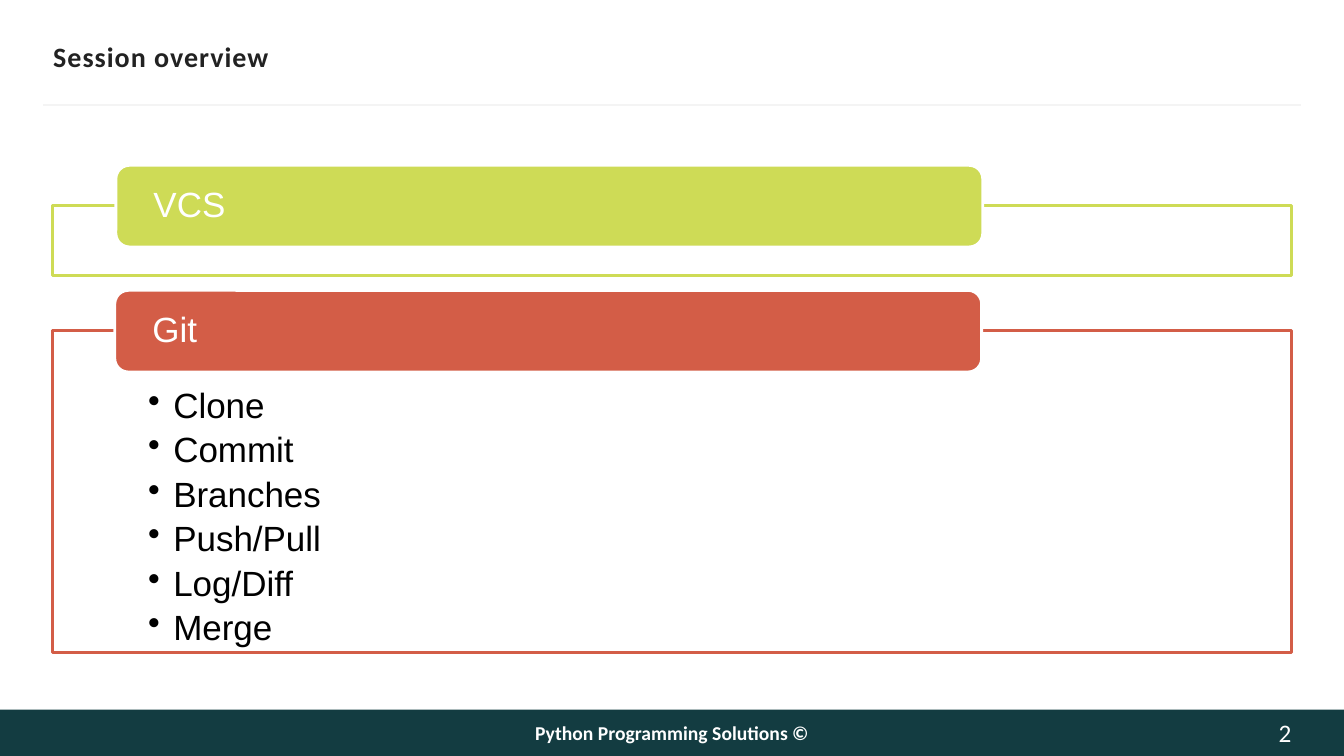
import pptx
import pptx.util
import pptx.dml.color
import pptx.enum.shapes
import pptx.enum.text
import pptx.oxml.ns
import lxml.etree

Pt = pptx.util.Pt
RGBColor = pptx.dml.color.RGBColor
SHAPE = pptx.enum.shapes.MSO_SHAPE
ANCHOR = pptx.enum.text.MSO_ANCHOR
ALIGN = pptx.enum.text.PP_ALIGN
qn = pptx.oxml.ns.qn

WHITE = RGBColor(0xFF, 0xFF, 0xFF)
BLACK = RGBColor(0, 0, 0)
PALE = RGBColor(0xFE, 0xFE, 0xFE)
INK = RGBColor(0x22, 0x22, 0x22)
RULE = RGBColor(0xF4, 0xF4, 0xF4)
TEAL = RGBColor(0x13, 0x3C, 0x41)
LIME = RGBColor(0xCE, 0xDB, 0x56)
RUST = RGBColor(0xD3, 0x5D, 0x47)

WIDTH, HEIGHT = 960, 540
FOOT = 506.9
TOPICS = [
    (LIME, 82.8, 118.1, 49.7, "VCS", []),
    (RUST, 82, 207.4, 229.7, "Git",
     ["Clone", "Commit", "Branches", "Push/Pull", "Log/Diff", "Merge"]),
]


def add_box(slide, kind, left, top, width, height, fill, line=None):
    box = slide.shapes.add_shape(kind, Pt(left), Pt(top), Pt(width), Pt(height))
    box.shadow.inherit = False
    box.fill.solid()
    box.fill.fore_color.rgb = fill
    if line is None:
        box.line.fill.background()
    else:
        box.line.color.rgb = line
        box.line.width = Pt(2)
    return box


def add_rule(slide, left, right, top):
    kind = pptx.enum.shapes.MSO_CONNECTOR.STRAIGHT
    rule = slide.shapes.add_connector(kind, Pt(left), Pt(top), Pt(right), Pt(top))
    rule.line.color.rgb = RULE
    rule.line.width = Pt(1.5)
    lxml.etree.SubElement(rule._element.spPr, qn("a:effectLst"))


def set_frame(shape, side, top=0, base=0, anchor=ANCHOR.MIDDLE):
    frame = shape.text_frame
    frame.word_wrap = True
    frame.vertical_anchor = anchor
    frame.margin_left = frame.margin_right = Pt(side)
    frame.margin_top, frame.margin_bottom = Pt(top), Pt(base)
    return frame


def add_run(para, text, face, size, color, bold=False):
    run = para.add_run()
    run.text = text
    run.font.name = face
    run.font.size = Pt(size)
    run.font.color.rgb = color
    run.font.bold = bold
    return run


def add_text(slide, left, top, width, height, text, size, color, align, bold=False):
    box = slide.shapes.add_textbox(Pt(left), Pt(top), Pt(width), Pt(height))
    para = set_frame(box, 0).paragraphs[0]
    para.alignment = align
    return add_run(para, text, "Calibri", size, color, bold)


def add_bullet(para):
    props = para._p.get_or_add_pPr()
    props.set("marL", str(Pt(18)))
    props.set("indent", str(-Pt(18)))
    mark = lxml.etree.SubElement(props, qn("a:buChar"))
    mark.set("char", "•")


def add_topic(slide, color, left, top, height, name, items):
    panel = add_box(slide, SHAPE.RECTANGLE, 37.4, top + 28.8, 885, height, WHITE, color)
    frame = set_frame(panel, 68.4, 41, 13.7, ANCHOR.TOP)
    for index, item in enumerate(items):
        para = frame.paragraphs[0] if index == 0 else frame.add_paragraph()
        add_bullet(para)
        para.alignment = ALIGN.LEFT
        para.line_spacing = 0.9
        para.space_after = Pt(4.8)
        add_run(para, item, "Arial", 25, BLACK)
    tab = add_box(slide, SHAPE.ROUNDED_RECTANGLE, left, top, 619.2, 58.3, color, WHITE)
    para = set_frame(tab, 24).paragraphs[0]
    para.alignment = ALIGN.LEFT
    para.line_spacing = 0.9
    add_run(para, name, "Arial", 25, WHITE)


def main():
    deck = pptx.Presentation()
    deck.slide_width, deck.slide_height = Pt(WIDTH), Pt(HEIGHT)
    slide = deck.slides.add_slide(deck.slide_layouts[6])
    add_box(slide, SHAPE.RECTANGLE, 0, FOOT, WIDTH, HEIGHT - FOOT, TEAL)
    add_rule(slide, 31, 929, 74.9)
    title = add_text(slide, 38, 24, 885, 32, "Session overview", 20, INK, ALIGN.LEFT, True)
    title.font._element.set("spc", "70")
    add_text(slide, 252, FOOT, 456, 32.5, "Python Programming Solutions ©", 14,
             WHITE, ALIGN.CENTER, True)
    for topic in TOPICS:
        add_topic(slide, *topic)
    add_text(slide, 875, FOOT, 47.5, 33, "2", 18, PALE, ALIGN.RIGHT)
    deck.save("out.pptx")


if __name__ == "__main__":
    main()
